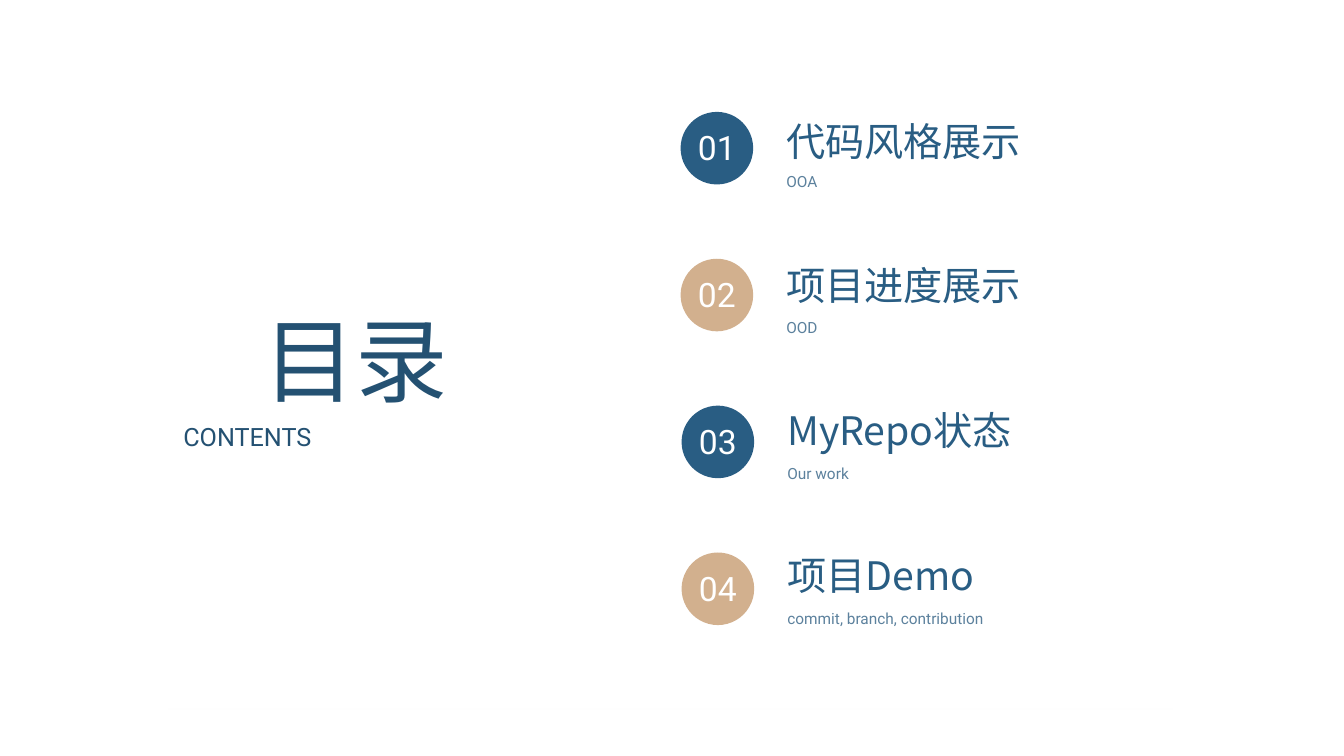
from lxml import etree
from pptx import Presentation
from pptx.dml.color import RGBColor
from pptx.enum import shapes, text
from pptx.oxml import ns
from pptx.util import Inches, Pt

NAVY = RGBColor(0x24, 0x51, 0x72)
BLUE = RGBColor(0x29, 0x5D, 0x83)
TAN = RGBColor(0xD2, 0xB0, 0x8E)
SOFT_BLUE = RGBColor(0x5C, 0x81, 0x9D)
DARK = RGBColor(0x26, 0x26, 0x26)
WHITE = RGBColor(0xFF, 0xFF, 0xFF)
CJK, LATIN = "Noto Sans CJK SC", "Roboto"
LEFT, CENTER = text.PP_ALIGN.LEFT, text.PP_ALIGN.CENTER

TITLE, SUBTITLE = "目录", "CONTENTS"
SECTIONS = [
    ("代码风格展示", "OOA"),
    ("项目进度展示", "OOD"),
    ("MyRepo状态", "Our work"),
    ("项目Demo", "commit, branch, contribution"),
]


def place(box, left, top, width, height):
    box.left, box.top = Inches(left), Inches(top)
    box.width, box.height = Inches(width), Inches(height)


def write(box, words, size, font, color, align=LEFT, spacing=None):
    frame = box.text_frame
    frame.text = words
    frame.word_wrap = True
    frame.auto_size = text.MSO_AUTO_SIZE.NONE
    frame.vertical_anchor = text.MSO_ANCHOR.TOP
    para = frame.paragraphs[0]
    para.alignment = align
    if spacing:
        para.line_spacing = spacing
    span = para.runs[0]
    span.font.size, span.font.name = Pt(size), font
    span.font.color.rgb = color
    east_asian = etree.SubElement(span.font._element, ns.qn("a:ea"))
    east_asian.set("typeface", font)


def add_text(slide, area, *style):
    box = slide.shapes.add_textbox(*map(Inches, area))
    write(box, *style)


def add_plain(slide, kind, area, color):
    shape = slide.shapes.add_shape(kind, *map(Inches, area))
    shape.shadow.inherit = False
    shape.fill.solid()
    shape.fill.fore_color.rgb = color
    shape.line.fill.background()
    return shape


def soften(shape, radius):
    effects = shape._element.spPr.find(ns.qn("a:effectLst"))
    etree.SubElement(effects, ns.qn("a:softEdge"), rad=str(Pt(radius)))


def main():
    deck = Presentation()
    deck.slide_width, deck.slide_height = Inches(13.33), Inches(7.5)
    page = deck.slides.add_slide(deck.slide_layouts[5])
    page.background.fill.solid()
    page.background.fill.fore_color.rgb = WHITE

    # White sheet over a soft-edged dark panel that shows as its shadow
    rectangle = shapes.MSO_SHAPE.RECTANGLE
    soften(add_plain(page, rectangle, (0.46, 1.17, 12.39, 6.13), DARK), 50)
    add_plain(page, rectangle, (0.54, 0.47, 12.25, 6.56), WHITE)

    # Heading, brought in front of the sheet
    heading = page.shapes.title
    page.shapes._spTree.append(heading._element)
    place(heading, 1.58, 2.96, 3.9, 1.21)
    write(heading, TITLE, 66, CJK, NAVY, CENTER)
    add_text(page, (1.72, 4.13, 3.63, 0.4), SUBTITLE, 18, LATIN, NAVY,
             text.PP_ALIGN.JUSTIFY)

    # Numbered sections, the lower two a hair to the right
    for index, (name, detail) in enumerate(SECTIONS):
        shift = 0.01 * (index // 2)
        badge_top = 1.11 + index * 1.457
        add_plain(page, shapes.MSO_SHAPE.OVAL,
                  (6.75 + shift, badge_top, 0.72, 0.72), (BLUE, TAN)[index % 2])
        add_text(page, (6.74 + shift, badge_top + 0.1, 0.74, 0.5),
                 f"{index + 1:02}", 24, LATIN, WHITE, CENTER)
        add_text(page, (7.7 + shift, 1.11 + index * 1.437, 3.76, 0.57),
                 name, 28, CJK, BLUE)
        add_text(page, (7.7 + shift, 1.62 + index * 1.447, 5.01, 0.32),
                 detail, 11, LATIN, SOFT_BLUE, LEFT, 1.2)

    deck.save("out.pptx")


if __name__ == "__main__":
    main()
